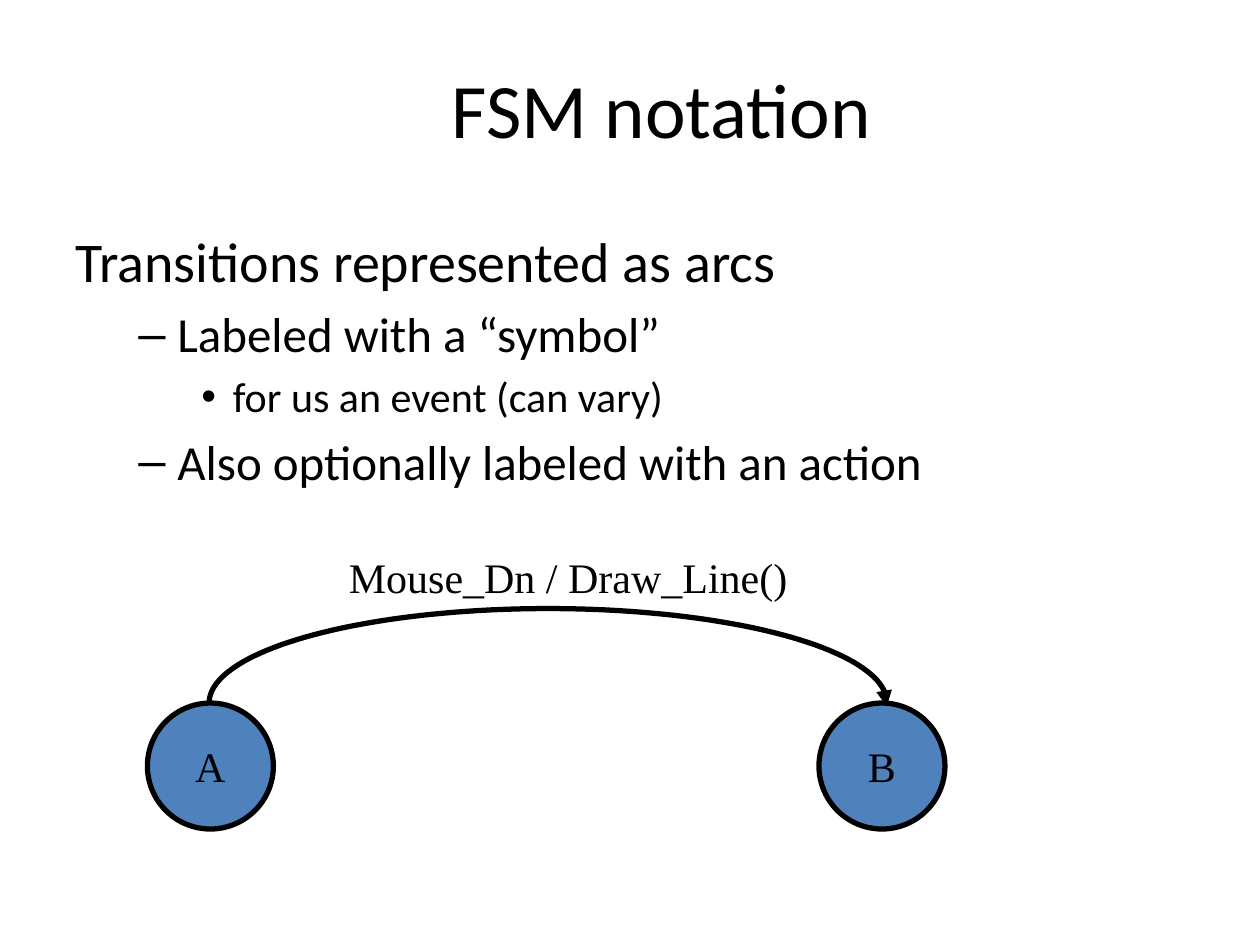
from math import cos, radians, sin

from pptx import Presentation
from pptx.dml.color import RGBColor
from pptx.enum.shapes import MSO_SHAPE
from pptx.enum.text import MSO_ANCHOR, MSO_AUTO_SIZE, PP_ALIGN
from pptx.oxml.ns import qn
from pptx.util import Inches, Pt
from lxml.etree import SubElement

COLORS = {"ink": "000000", "state": "4F81BD"}
SERIF = "Times New Roman"


def write(paragraph, text, size, font="Calibri", align=None, spacing=None):
    paragraph.alignment = align
    paragraph.line_spacing = spacing
    run = paragraph.add_run()
    run.text = text
    run.font.size = Pt(size)
    run.font.name = font
    run.font.color.rgb = RGBColor.from_string(COLORS["ink"])


def outline(shape):
    shape.shadow.inherit = False
    shape.line.color.rgb = RGBColor.from_string(COLORS["ink"])
    shape.line.width = Pt(3)


prs = Presentation()
prs.slide_width, prs.slide_height = Inches(10), Inches(7.5)
slide = prs.slides.add_slide(prs.slide_layouts[5])
shapes = slide.shapes

# Title
title = shapes.title
title.left, title.top = Inches(0.5), Inches(0.3)
title.width, title.height = Inches(9.5), Inches(1.25)
title.text_frame.vertical_anchor = MSO_ANCHOR.MIDDLE
write(title.text_frame.paragraphs[0], "FSM notation", 44,
      align=PP_ALIGN.CENTER, spacing=0.8)

# Outline text: size, left margin, hanging indent and bullet per level
LEVELS = [(32, 0, 0, None), (28, 0.81, -0.31, "–"), (24, 1.25, -0.25, "•")]
points = [
    (0, "Transitions represented as arcs"),
    (1, "Labeled with a “symbol”"),
    (2, "for us an event (can vary)"),
    (1, "Also optionally labeled with an action"),
]
body = shapes.add_textbox(Inches(0.5), Inches(1.75), Inches(9.5), Inches(5.5)).text_frame
body.word_wrap = True
for i, (level, text) in enumerate(points):
    size, margin, indent, bullet = LEVELS[level]
    point = body.add_paragraph() if i else body.paragraphs[0]
    write(point, text, size)
    point.level = level
    props = point._p.get_or_add_pPr()
    props.set("marL", str(Inches(margin)))
    props.set("indent", str(Inches(indent)))
    before = SubElement(props, qn("a:spcBef"))
    SubElement(before, qn("a:spcPct")).set("val", "20000")
    if bullet:
        SubElement(props, qn("a:buFont")).set("typeface", "Arial")
        SubElement(props, qn("a:buChar")).set("char", bullet)

# States
for name, left in (("B", 6.5), ("A", 1.17)):
    state = shapes.add_shape(MSO_SHAPE.OVAL, Inches(left), Inches(5.58), Inches(1), Inches(1))
    outline(state)
    state.fill.solid()
    state.fill.fore_color.rgb = RGBColor.from_string(COLORS["state"])
    state.text_frame.word_wrap = False
    state.text_frame.vertical_anchor = MSO_ANCHOR.MIDDLE
    write(state.text_frame.paragraphs[0], name, 24, font=SERIF, align=PP_ALIGN.CENTER)

# Transition: upper half of an ellipse from A, ending just inside B
center_x, center_y, radius_x, radius_y = 4.35, 5.58, 2.69, 0.75
arc = [(Inches(center_x + radius_x * cos(radians(angle))),
        Inches(center_y + radius_y * sin(radians(angle))))
       for angle in range(180, 363, 2)]
builder = shapes.build_freeform(*arc[0])
builder.add_line_segments(arc[1:], close=False)
transition = builder.convert_to_shape()
outline(transition)
transition.fill.background()
SubElement(transition.line._get_or_add_ln(), qn("a:tailEnd")).set("type", "triangle")

# Transition label
label = shapes.add_textbox(Inches(2.67), Inches(4.33), Inches(3.68), Inches(0.5)).text_frame
label.word_wrap = False
label.auto_size = MSO_AUTO_SIZE.SHAPE_TO_FIT_TEXT
write(label.paragraphs[0], "Mouse_Dn / Draw_Line()", 24, font=SERIF)

prs.save("out.pptx")
